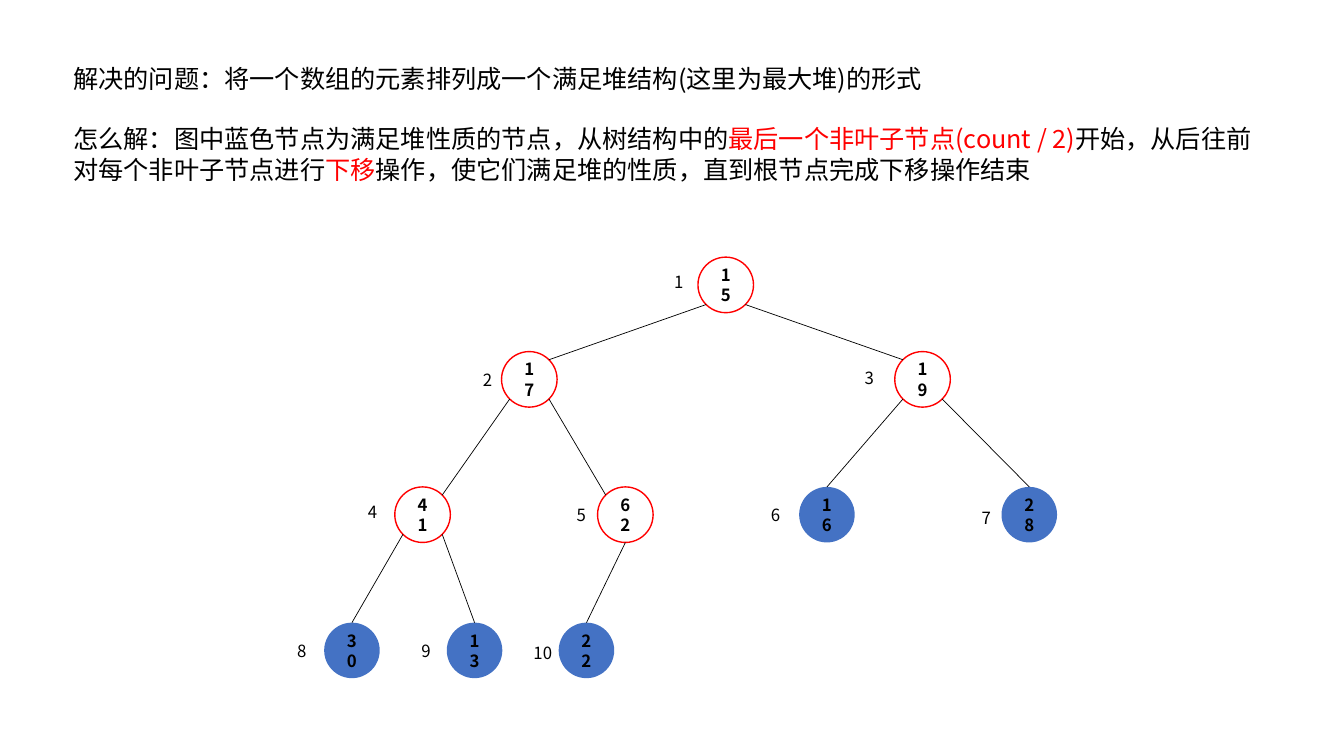
"""Build a slide that explains heap construction with a binary tree."""
import math

import lxml.etree
import pptx
import pptx.dml.color
import pptx.enum.shapes
import pptx.enum.text
import pptx.oxml.ns
import pptx.util

Cm = pptx.util.Cm
Pt = pptx.util.Pt
BLACK = pptx.dml.color.RGBColor(0x00, 0x00, 0x00)
RED = pptx.dml.color.RGBColor(0xFF, 0x00, 0x00)
BLUE = pptx.dml.color.RGBColor(0x44, 0x72, 0xC4)
FONT = "Noto Sans CJK SC"
INTRO_FORMAT = {"size": Pt(18), "name": FONT}
INDEX_FORMAT = {"size": Pt(12), "name": FONT}
VALUE_FORMAT = {**INDEX_FORMAT, "bold": True}
CENTERED_FRAME = {
    "word_wrap": True,
    "vertical_anchor": pptx.enum.text.MSO_ANCHOR.MIDDLE,
}
INTRO_FRAME = {
    "word_wrap": True,
    "auto_size": pptx.enum.text.MSO_AUTO_SIZE.SHAPE_TO_FIT_TEXT,
}
NODE_SIZE = 1.4


def apply_format(target, values):
    for attribute, value in values.items():
        setattr(target, attribute, value)


class HeapSlide:
    def __init__(self, slide):
        self.shapes = slide.shapes

    def run(self, paragraph, text, values, color=BLACK):
        run = paragraph.add_run()
        run.text = text
        apply_format(run.font, values)
        run.font.color.rgb = color
        east_asian = lxml.etree.SubElement(
            run._r.get_or_add_rPr(), pptx.oxml.ns.qn("a:ea")
        )
        east_asian.set("typeface", FONT)

    def centered(self, shape, text, values):
        apply_format(shape.text_frame, CENTERED_FRAME)
        paragraph = shape.text_frame.paragraphs[0]
        paragraph.alignment = pptx.enum.text.PP_ALIGN.CENTER
        self.run(paragraph, text, values)

    def node(self, x, y, value, is_leaf):
        circle = self.shapes.add_shape(
            pptx.enum.shapes.MSO_SHAPE.OVAL,
            Cm(x - NODE_SIZE / 2), Cm(y - NODE_SIZE / 2),
            Cm(NODE_SIZE), Cm(NODE_SIZE),
        )
        circle.shadow.inherit = False
        if is_leaf:
            circle.fill.solid()
            circle.fill.fore_color.rgb = BLUE
            circle.line.fill.background()
        else:
            circle.fill.background()
            circle.line.color.rgb = RED
            circle.line.width = Pt(1)
        self.centered(circle, str(value), VALUE_FORMAT)

    def edge(self, start, end):
        edge = self.shapes.add_connector(
            pptx.enum.shapes.MSO_CONNECTOR.STRAIGHT,
            *(Cm(length) for length in (*start, *end)),
        )
        edge.line.color.rgb = BLACK
        edge.line.width = Pt(0.5)
        lxml.etree.SubElement(
            edge._element.spPr, pptx.oxml.ns.qn("a:effectLst")
        )

    def index(self, x, y, number):
        width, height = (0.7 if number < 10 else 1.2), 0.84
        label = self.shapes.add_textbox(
            Cm(x - width / 2), Cm(y - height / 2), Cm(width), Cm(height)
        )
        self.centered(label, str(number), INDEX_FORMAT)

    def intro(self, left, top, width, height, paragraphs):
        frame = self.shapes.add_textbox(
            Cm(left), Cm(top), Cm(width), Cm(height)
        ).text_frame
        apply_format(frame, INTRO_FRAME)
        for position, parts in enumerate(paragraphs):
            paragraph = frame.add_paragraph() if position else frame.paragraphs[0]
            paragraph.space_before = Pt(21.5 if position else 0)
            for text, color in parts:
                self.run(paragraph, text, INTRO_FORMAT, color)


INTRO = [
    [("解决的问题：将一个数组的元素排列成一个满足堆结构(这里为最大堆)的形式", BLACK)],
    [
        ("怎么解：图中蓝色节点为满足堆性质的节点，从树结构中的", BLACK),
        ("最后一个非叶子节点(count / 2)", RED),
        ("开始，从后往前对每个非叶子节点进行", BLACK),
        ("下移", RED),
        ("操作，使它们满足堆的性质，直到根节点完成下移操作结束", BLACK),
    ],
]
LEVELS = [7.18, 9.56, 12.97, 16.39]
HEAP = [
    (15, 18.29, (17.09, 7.1)),
    (17, 13.34, (12.27, 9.56)),
    (19, 23.25, (21.89, 9.51)),
    (41, 10.65, (9.37, 12.89)),
    (62, 15.76, (14.63, 12.97)),
    (16, 20.84, (19.53, 12.97)),
    (28, 25.94, (24.84, 13.04)),
    (30, 8.87, (7.59, 16.4)),
    (13, 11.96, (10.72, 16.4)),
    (22, 14.78, (13.68, 16.46)),
]

presentation = pptx.Presentation()
presentation.slide_width = Cm(33.87)
presentation.slide_height = Cm(19.05)
heap_slide = HeapSlide(
    presentation.slides.add_slide(presentation.slide_layouts[6])
)

count = len(HEAP)
centers = {
    number: (x, LEVELS[number.bit_length() - 1])
    for number, (_, x, _) in enumerate(HEAP, 1)
}
for number, (value, _, _) in enumerate(HEAP, 1):
    heap_slide.node(*centers[number], value, number > count // 2)

radius = NODE_SIZE / 2
diagonal = radius * math.sqrt(0.5)
for child in range(2, count + 1):
    parent_x, parent_y = centers[child // 2]
    child_x, child_y = centers[child]
    side = 1 if child % 2 else -1
    only_child = child == count and child % 2 == 0
    is_leaf = child > count // 2
    start = (
        (parent_x, parent_y + radius) if only_child
        else (parent_x + side * diagonal, parent_y + diagonal)
    )
    end = (
        (child_x, child_y - radius) if is_leaf
        else (child_x - side * diagonal, child_y - diagonal)
    )
    heap_slide.edge(start, end)

for number, (_, _, index_center) in enumerate(HEAP, 1):
    heap_slide.index(*index_center, number)

heap_slide.intro(1.6, 1.47, 30.68, 3.33, INTRO)
presentation.save("out.pptx")
